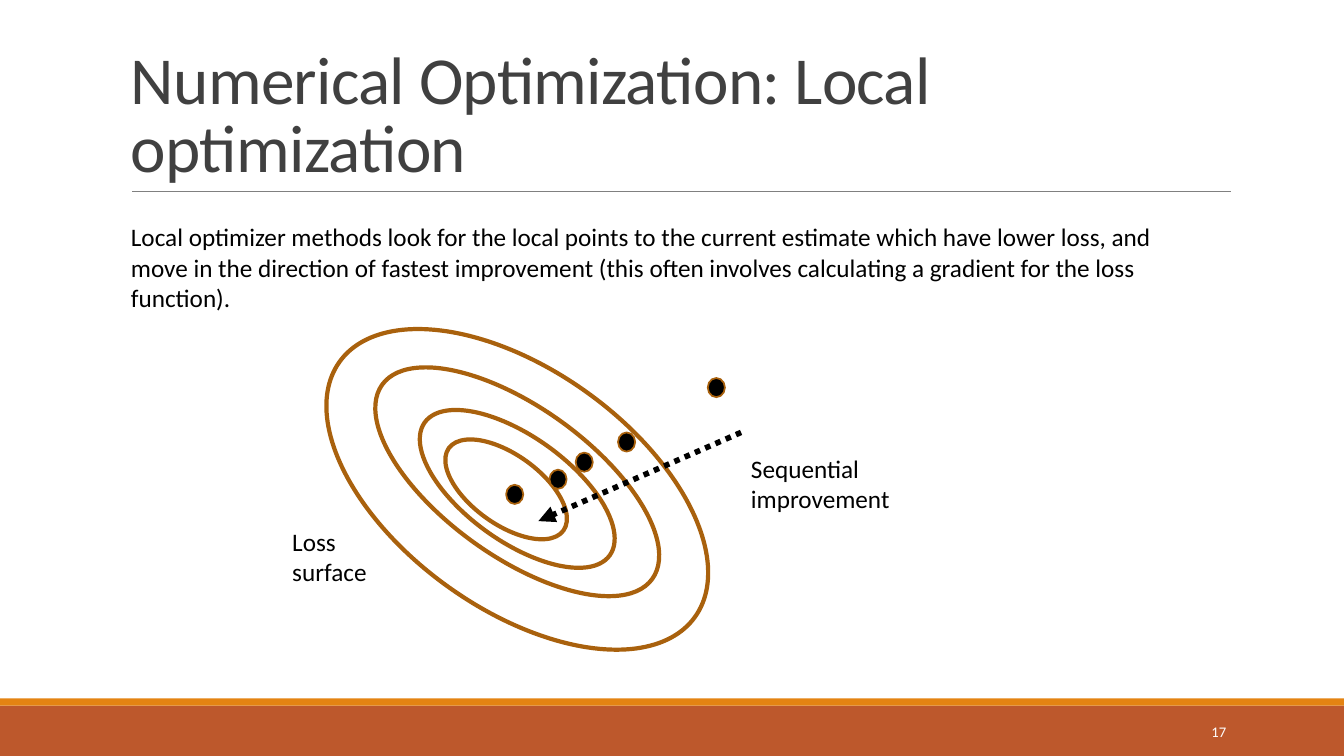
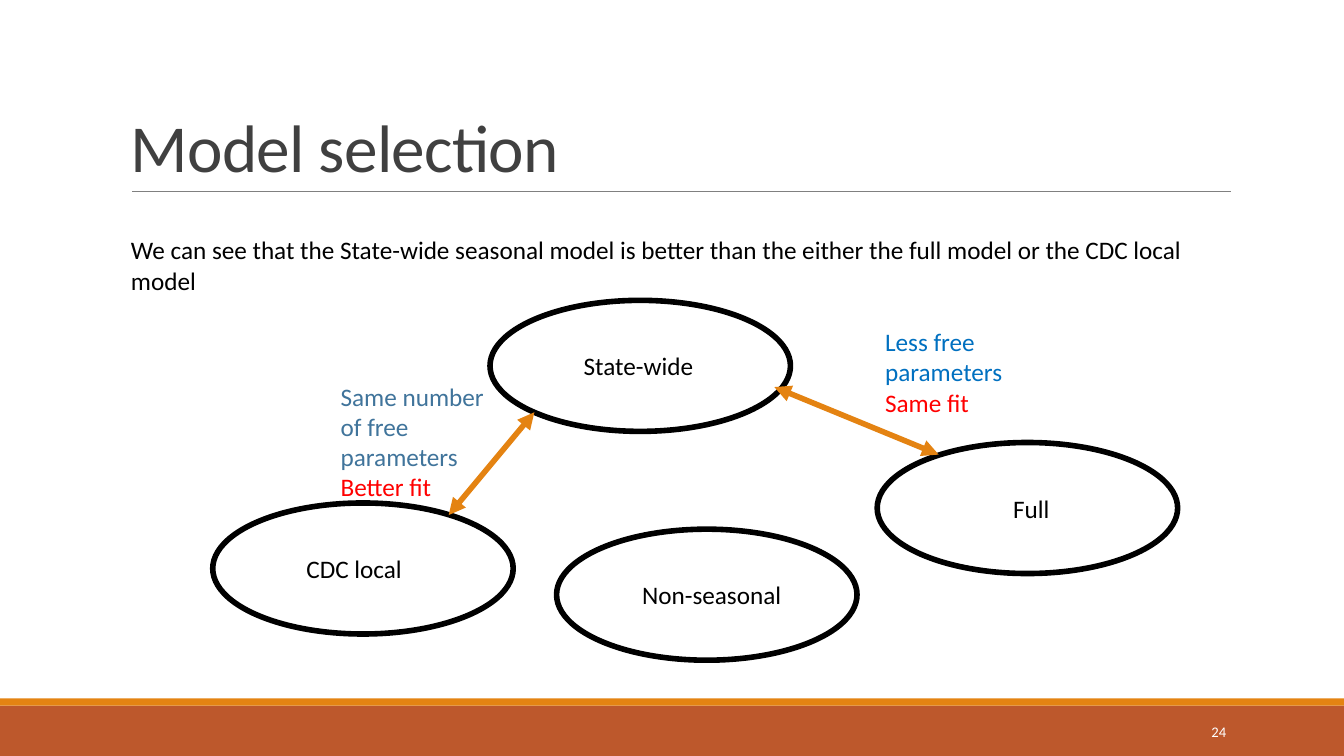
"""Build two lecture slides on local optimization and model selection."""
from dataclasses import dataclass
from typing import NamedTuple, Optional

from lxml.etree import SubElement
from pptx import Presentation
from pptx.dml.color import RGBColor
from pptx.enum.dml import MSO_LINE_DASH_STYLE as Dash
from pptx.enum.shapes import MSO_CONNECTOR as Connector, MSO_SHAPE as Shape
from pptx.enum.text import MSO_ANCHOR as Anchor, PP_ALIGN as Align
from pptx.oxml.ns import qn
from pptx.slide import Slide
from pptx.util import Emu, Pt

EMU_PER_PX = 9144
SLIDE_WIDTH, SLIDE_HEIGHT = 1333, 750
FONT = "Calibri"
BODY_SIZE = 18
BLACK, WHITE, RED = "000000", "FFFFFF", "FF0000"
RUST, ORANGE, BROWN = "BD582C", "E48312", "A9610D"
TITLE_GREY, RULE_GREY = "404040", "808080"
STEEL_BLUE, BRIGHT_BLUE = "40749B", "0070C0"


class Box(NamedTuple):
    left: int
    top: int
    width: int
    height: int


class Phrase(NamedTuple):
    text: str
    color: str = BLACK


@dataclass
class Note:
    box: Box
    phrases: list[Phrase]


@dataclass
class Arrow:
    start: tuple[int, int]
    end: tuple[int, int]
    color: str
    double: bool = False
    dash: Optional[Dash] = None


@dataclass
class Model:
    name: str
    left: int
    top: int
    label_indent: int
    label_width: int


CONTOUR_TILT = 35.7
CONTOURS = [
    Box(432, 451, 140, 69),
    Box(400, 433, 226, 104),
    Box(348, 404, 330, 148),
    Box(296, 367, 434, 237),
]
ESTIMATE_WIDTH, ESTIMATE_HEIGHT = 17, 19
ESTIMATES = [(702, 375), (613, 429), (571, 449), (545, 466), (502, 481)]
OPTIMIZATION_NOTES = [
    Note(Box(120, 215, 1091, 101), [Phrase(
        "Local optimizer methods look for the local points to the current estimate "
        "which have lower loss, and move in the direction of fastest improvement "
        "(this often involves calculating a gradient for the loss function).")]),
    Note(Box(280, 517, 128, 71), [Phrase("Loss surface")]),
    Note(Box(735, 445, 202, 71), [Phrase("Sequential improvement")]),
]
IMPROVEMENT = Arrow((735, 429), (534, 517), BLACK, dash=Dash.ROUND_DOT)

MODEL_WIDTH, MODEL_HEIGHT = 298, 130
LABEL_DROP, LABEL_HEIGHT = 45, 40
MODELS = [
    Model("State-wide", 486, 298, 83, 132),
    Model("CDC local", 211, 499, 83, 132),
    Model("Full", 870, 439, 125, 132),
    Model("Non-seasonal", 552, 525, 75, 170),
]
COMPARISONS = [
    Arrow((768, 384), (931, 451), ORANGE, double=True),
    Arrow((530, 409), (445, 511), ORANGE, double=True),
]
SELECTION_NOTES = [
    Note(Box(120, 228, 1129, 71), [Phrase(
        "We can see that the State-wide seasonal model is better than the either "
        "the full model or the CDC local model")]),
    Note(Box(328, 373, 175, 131), [
        Phrase("Same number of free parameters", STEEL_BLUE), Phrase("Better fit", RED)]),
    Note(Box(868, 319, 175, 101), [
        Phrase("Less free parameters", BRIGHT_BLUE), Phrase("Same fit", RED)]),
]


def px(length: int) -> Emu:
    """Turn px into EMU."""
    return Emu(length * EMU_PER_PX)


def rgb(color: str) -> RGBColor:
    """Turn a hex string into a colour."""
    return RGBColor.from_string(color)


def add_figure(slide: Slide, preset: Shape, box: Box, fill: str = "",
               outline: str = "", weight: float = 1, tilt: float = 0) -> None:
    """Draw a preset shape; an empty colour means no fill or no outline."""
    figure = slide.shapes.add_shape(preset, *map(px, box))
    figure.shadow.inherit = False
    figure.rotation = tilt
    if fill:
        figure.fill.solid()
        figure.fill.fore_color.rgb = rgb(fill)
    else:
        figure.fill.background()
    if outline:
        figure.line.color.rgb = rgb(outline)
        figure.line.width = Pt(weight)
    else:
        figure.line.fill.background()


def add_text(slide: Slide, box: Box, phrases: list[Phrase], size: float = BODY_SIZE,
             anchor: Anchor = Anchor.TOP, align: Align = Align.LEFT,
             line_spacing: float = 1, tracking: int = 0) -> None:
    """Write one paragraph per phrase in a wrapping text box."""
    frame = slide.shapes.add_textbox(*map(px, box)).text_frame
    frame.word_wrap = True
    frame.vertical_anchor = anchor
    for index, phrase in enumerate(phrases):
        paragraph = frame.add_paragraph() if index else frame.paragraphs[0]
        paragraph.text = phrase.text
        paragraph.alignment = align
        paragraph.line_spacing = line_spacing
        paragraph.font.name = FONT
        paragraph.font.size = Pt(size)
        paragraph.font.color.rgb = rgb(phrase.color)
        if tracking:
            for run in paragraph.runs:
                run.font._element.set("spc", str(tracking))


def add_line(slide: Slide, start: tuple[int, int], end: tuple[int, int],
             color: str, weight: float, dash: Optional[Dash] = None,
             arrowheads: tuple[str, ...] = ()) -> None:
    """Draw a straight connector with the named arrowheads."""
    connector = slide.shapes.add_connector(
        Connector.STRAIGHT, *map(px, start), *map(px, end))
    connector.line.color.rgb = rgb(color)
    connector.line.width = Pt(weight)
    if dash is not None:
        connector.line.dash_style = dash
    for arrowhead in arrowheads:
        SubElement(connector.line._get_or_add_ln(), qn(arrowhead), type="triangle")
    SubElement(connector._element.spPr, qn("a:effectLst"))


def add_arrow(slide: Slide, arrow: Arrow) -> None:
    """Draw a thick arrow with one or two heads."""
    arrowheads = ("a:headEnd", "a:tailEnd") if arrow.double else ("a:tailEnd",)
    add_line(slide, arrow.start, arrow.end, arrow.color, 4, arrow.dash, arrowheads)


def add_base(deck: Presentation, title: str, number: int) -> Slide:
    """Add a slide with the shared bands, title, rule and page number."""
    slide = deck.slides.add_slide(deck.slide_layouts[6])
    add_figure(slide, Shape.RECTANGLE, Box(0, 700, SLIDE_WIDTH, 50), RUST)
    add_figure(slide, Shape.RECTANGLE, Box(0, 693, SLIDE_WIDTH, 7), ORANGE)
    add_line(slide, (131, 190), (1221, 190), RULE_GREY, 0.5)
    add_text(slide, Box(120, 31, 1100, 159), [Phrase(title, TITLE_GREY)], 48,
             Anchor.BOTTOM, line_spacing=0.85, tracking=-50)
    add_text(slide, Box(1083, 706, 143, 40), [Phrase(str(number), WHITE)], 10.5,
             Anchor.MIDDLE, Align.RIGHT)
    return slide


def add_notes(slide: Slide, notes: list[Note]) -> None:
    """Write all the notes of a slide."""
    for note in notes:
        add_text(slide, note.box, note.phrases)


def build_optimization(deck: Presentation) -> None:
    """Show estimates moving down a loss surface."""
    slide = add_base(deck, "Numerical Optimization: Local optimization", 17)
    for contour in CONTOURS:
        add_figure(slide, Shape.OVAL, contour, outline=BROWN, weight=3, tilt=CONTOUR_TILT)
    for left, top in ESTIMATES:
        estimate = Box(left, top, ESTIMATE_WIDTH, ESTIMATE_HEIGHT)
        add_figure(slide, Shape.OVAL, estimate, BLACK, BROWN, 1.25)
    add_arrow(slide, IMPROVEMENT)
    add_notes(slide, OPTIMIZATION_NOTES)


def build_selection(deck: Presentation) -> None:
    """Compare the candidate models."""
    slide = add_base(deck, "Model selection", 24)
    for model in MODELS:
        add_figure(slide, Shape.OVAL, Box(model.left, model.top, MODEL_WIDTH, MODEL_HEIGHT),
                   outline=BLACK, weight=4)
        label = Box(model.left + model.label_indent, model.top + LABEL_DROP,
                    model.label_width, LABEL_HEIGHT)
        add_text(slide, label, [Phrase(model.name)])
    for comparison in COMPARISONS:
        add_arrow(slide, comparison)
    add_notes(slide, SELECTION_NOTES)


def main() -> None:
    """Build and save the deck."""
    deck = Presentation()
    deck.slide_width, deck.slide_height = px(SLIDE_WIDTH), px(SLIDE_HEIGHT)
    build_optimization(deck)
    build_selection(deck)
    deck.save("out.pptx")


if __name__ == "__main__":
    main()
